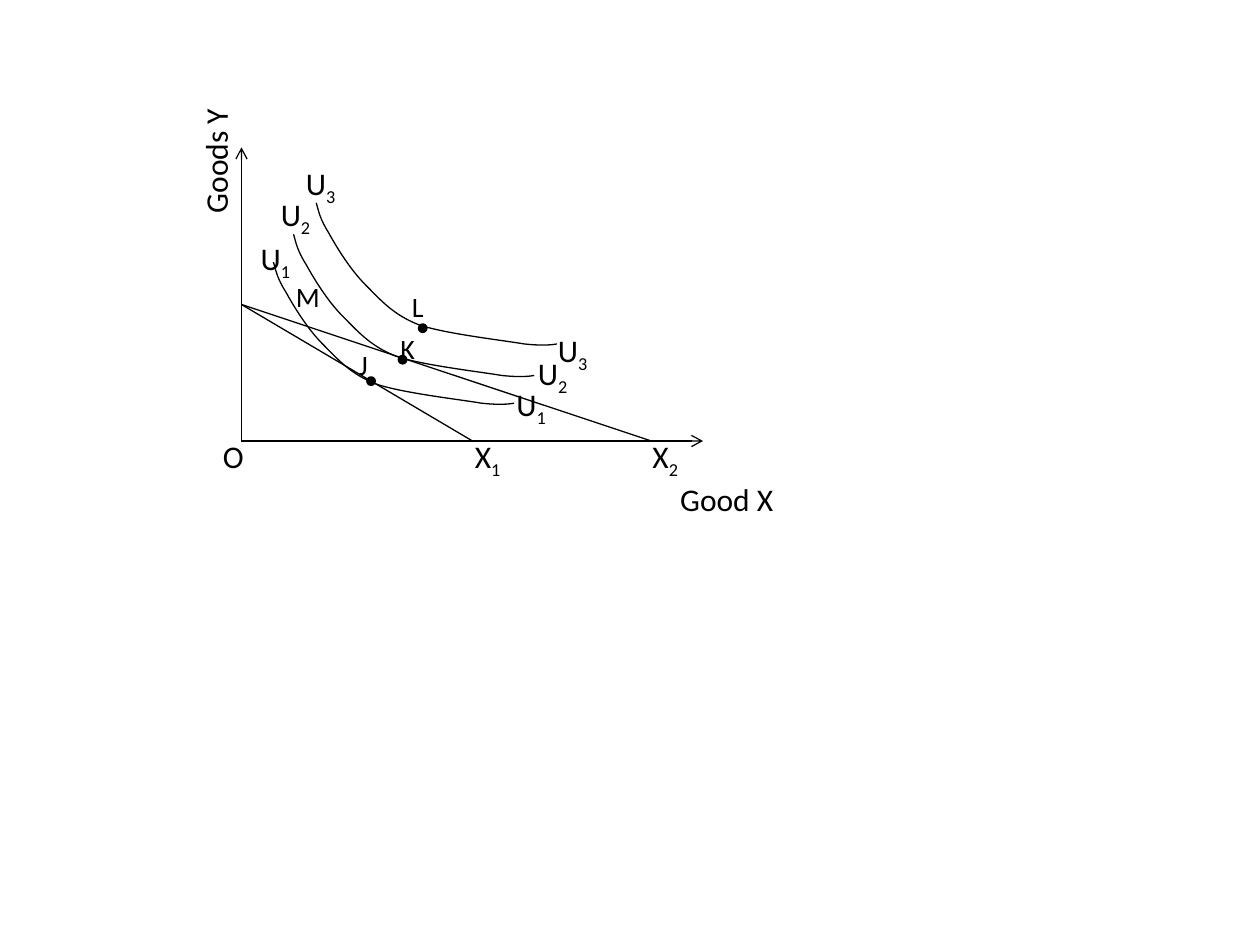
from pptx import Presentation
from pptx.dml.color import RGBColor
from pptx.enum.shapes import MSO_CONNECTOR as CONN, MSO_SHAPE as SHAPE
from pptx.enum.text import MSO_AUTO_SIZE as AUTO
from pptx.oxml.ns import qn
from pptx.util import Inches, Pt
from lxml import etree

BLACK = "000000"


def paint(fmt, color):
    """Give a fill, or the fill of a line, a solid colour."""
    fmt.solid()
    fmt.fore_color.rgb = RGBColor.from_string(color)


def add_label(s, text, x, y, w, h=0.4, size=18, sub=""):
    sp = s.shapes.add_textbox(Inches(x), Inches(y), Inches(w), Inches(h))
    tf = sp.text_frame
    tf.word_wrap = False
    tf.auto_size = AUTO.SHAPE_TO_FIT_TEXT
    p = tf.paragraphs[0]
    p.add_run().text = text
    if sub:
        r = p.add_run()
        r.text = sub
        r.font._element.set("baseline", "-25000")
    for r in p.runs:
        r.font.size = Pt(size)
        r.font.name = "Calibri"
        paint(r.font.fill, BLACK)
    return sp


prs = Presentation()
prs.slide_width, prs.slide_height = Inches(10), Inches(7.5)
s = prs.slides.add_slide(prs.slide_layouts[6])

# Axes (with arrowheads) and budget lines
ox, oy = 23 / 12, 3.5
budget_y = 29 / 12
for x1, y1, x2, y2, arrow in [
    (ox, oy, ox, 1.17, True),
    (ox, oy, 5.58, oy, True),
    (ox, budget_y, 3.75, oy, False),
    (ox, budget_y, 5.17, oy, False),
]:
    c = s.shapes.add_connector(CONN.STRAIGHT, Inches(x1), Inches(y1), Inches(x2), Inches(y2))
    paint(c.line.fill, BLACK)
    c.line.width = Pt(0.75)
    if arrow:
        etree.SubElement(c.line._get_or_add_ln(), qn("a:tailEnd"), type="arrow")
    etree.SubElement(c._element.spPr, qn("a:effectLst"))

# Indifference curves: the same Bezier points, offset from each start point
bezier = [
    (0.02, 0.07), (0.03, 0.13), (0.1, 0.24),
    (0.16, 0.35), (0.27, 0.53), (0.39, 0.65),
    (0.51, 0.77), (0.61, 0.89), (0.82, 0.97),
    (1.03, 1.04), (1.47, 1.09), (1.65, 1.12),
    (1.83, 1.14), (1.91, 1.12), (1.91, 1.12),
]
for x, y in [(2.17, 2.08), (2.33, 1.86), (2.51, 1.61)]:
    fb = s.shapes.build_freeform(Inches(x), Inches(y))
    fb.add_line_segments([(Inches(x + dx), Inches(y + dy)) for dx, dy in bezier], close=False)
    sp = fb.convert_to_shape()
    # Each three line segments become one cubic segment
    outline = next(sp._element.iter(qn("a:path")))
    segments = outline.findall(qn("a:lnTo"))
    for i in range(0, len(segments), 3):
        cubic = etree.SubElement(outline, qn("a:cubicBezTo"))
        for seg in segments[i:i + 3]:
            cubic.append(seg[0])
            outline.remove(seg)
    sp.shadow.inherit = False
    sp.fill.background()
    paint(sp.line.fill, BLACK)
    sp.line.width = Pt(0.75)

# Points J, K and L
for x, y in [(2.92, 3), (3.17, 2.83), (3.33, 2.58)]:
    sp = s.shapes.add_shape(SHAPE.OVAL, Inches(x), Inches(y), Inches(0.05), Inches(0.05))
    sp.shadow.inherit = False
    paint(sp.fill, BLACK)
    paint(sp.line.fill, BLACK)
    sp.line.width = Pt(2)

# Point labels
for text, x, y, w in [("M", 2.25, 2.17, 0.39), ("K", 3.08, 2.58, 0.32),
                      ("J", 2.75, 2.71, 0.27), ("L", 3.17, 2.25, 0.3)]:
    add_label(s, text, x, y, w, h=0.37, size=16)

# Curve labels, at both ends of each curve
for sub, x, y in [("1", 1.97, 1.85), ("2", 2.13, 1.5), ("3", 2.33, 1.25),
                  ("3", 4.33, 2.58), ("2", 4.17, 2.76), ("1", 4, 3.01)]:
    add_label(s, "U", x, y, 0.45, sub=sub)

# Axis labels
add_label(s, "O", 1.67, 3.42, 0.37)
add_label(s, "X", 3.67, 3.42, 0.42, sub="1")
add_label(s, "X", 5.08, 3.42, 0.42, sub="2")
add_label(s, "Good X", 5.3, 3.76, 0.95)
add_label(s, "Goods Y", 1.19, 1.07, 1.04).rotation = 270

prs.save("out.pptx")
